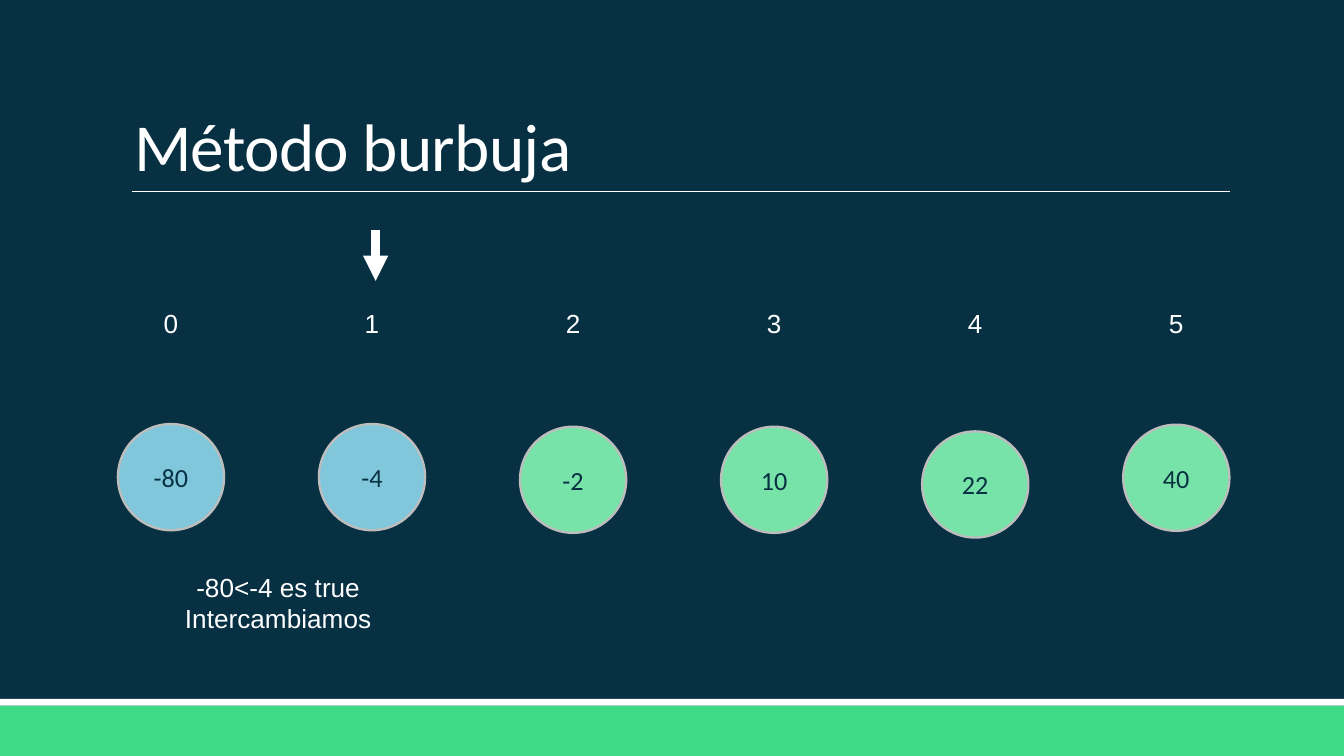
from dataclasses import dataclass

from lxml.etree import SubElement
from pptx import Presentation
from pptx.dml.color import RGBColor as RGB
from pptx.enum.shapes import MSO_CONNECTOR as CONN, MSO_SHAPE as SHAPE
from pptx.enum.text import MSO_ANCHOR as ANCHOR, PP_ALIGN as ALIGN
from pptx.oxml.ns import qn
from pptx.util import Inches, Pt

# The grid has square cells of a tenth of an inch
COLS, ROWS = 100, 56.25


def cells(*counts):
    return [Inches(n / 10) for n in counts]


@dataclass(frozen=True)
class Theme:
    navy: str = "073042"
    green: str = "3DDB85"
    white: str = "FFFFFF"
    outline: str = "BDBDBD"
    compared: str = "80C7DC"
    waiting: str = "78E3A8"
    heading_font: str = "Calibri"
    body_font: str = "Arial"
    title_size: float = 36
    body_size: float = 14


class Deck:
    def __init__(self, theme):
        self.theme = theme
        self.prs = Presentation()
        self.prs.slide_width, self.prs.slide_height = cells(COLS, ROWS)
        self.s = None

    def new_slide(self):
        self.s = self.prs.slides.add_slide(self.prs.slide_layouts[6])
        fill = self.s.background.fill
        fill.solid()
        fill.fore_color.rgb = RGB.from_string(self.theme.navy)

    def set_text(self, tf, lines, font, size, color, align, anchor):
        tf.word_wrap = True
        tf.vertical_anchor = anchor
        for i, line in enumerate(lines):
            p = tf.paragraphs[0] if i == 0 else tf.add_paragraph()
            p.add_run().text = line
            p.alignment = align
            p.font.name, p.font.size = font, Pt(size)
            p.font.color.rgb = RGB.from_string(color)

    def shape(self, kind, x, y, w, h, fill, line=None):
        sp = self.s.shapes.add_shape(kind, *cells(x, y, w, h))
        sp.shadow.inherit = False
        sp.fill.solid()
        sp.fill.fore_color.rgb = RGB.from_string(fill)
        if line:
            sp.line.color.rgb = RGB.from_string(line)
            sp.line.width = Pt(1.25)
        else:
            sp.line.fill.background()
        return sp

    def line(self, x1, y1, x2, y2, width, arrow=False):
        cxn = self.s.shapes.add_connector(CONN.STRAIGHT, *cells(x1, y1, x2, y2))
        cxn.line.color.rgb = RGB.from_string(self.theme.white)
        cxn.line.width = Pt(width)
        sp_pr = cxn._element.spPr
        if arrow:
            SubElement(sp_pr.get_or_add_ln(), qn("a:tailEnd"), type="triangle")
        SubElement(sp_pr, qn("a:effectLst"))

    def text(self, x, y, w, h, *lines):
        t = self.theme
        tf = self.s.shapes.add_textbox(*cells(x, y, w, h)).text_frame
        self.set_text(tf, lines, t.body_font, t.body_size, t.white,
                      ALIGN.CENTER, ANCHOR.TOP)

    def title(self, x, y, w, h, text):
        t = self.theme
        tf = self.s.shapes.add_textbox(*cells(x, y, w, h)).text_frame
        self.set_text(tf, [text], t.heading_font, t.title_size, t.white,
                      ALIGN.LEFT, ANCHOR.BOTTOM)
        p = tf.paragraphs[0]
        p.line_spacing = 0.85
        p.runs[0]._r.get_or_add_rPr().set("spc", "-40")

    def bubble(self, x, y, size, value, fill):
        t = self.theme
        sp = self.shape(SHAPE.OVAL, x, y, size, size, fill, t.outline)
        self.set_text(sp.text_frame, [str(value)], t.heading_font, t.body_size,
                      t.navy, ALIGN.CENTER, ANCHOR.MIDDLE)


theme = Theme()
deck = Deck(theme)
deck.new_slide()

# Footer bands
deck.shape(SHAPE.RECTANGLE, 0, 52.5, COLS, ROWS - 52.5, theme.green)
deck.shape(SHAPE.RECTANGLE, 0, 52, COLS, 0.5, theme.white)

# Title and its rule
deck.line(9.8, 14.25, 91.5, 14.25, 0.5)
deck.title(9, 2.4, 82.5, 11.9, "Método burbuja")

# Array values under their indices; the first two are being compared
FIRST, STEP, BUBBLE, LABEL = 12.72, 14.96, 7.9, 4.7
values = [-80, -4, -2, 10, 22, 40]
tops = [31.55, 31.55, 31.75, 31.75, 32.1, 31.6]
for i, (value, top) in enumerate(zip(values, tops)):
    center = FIRST + i * STEP
    fill = theme.compared if i < 2 else theme.waiting
    deck.bubble(center - BUBBLE / 2, top, BUBBLE, value, fill)
    deck.text(center - LABEL / 2, 22.4, LABEL, 3.4, str(i))

# Pointer to the current index
deck.line(27.95, 17.1, 27.95, 20.9, 4.5, arrow=True)

# Result of the comparison
deck.text(7.5, 42, 26.4, 5.7, "-80<-4 es true", "Intercambiamos")

deck.prs.save("out.pptx")
